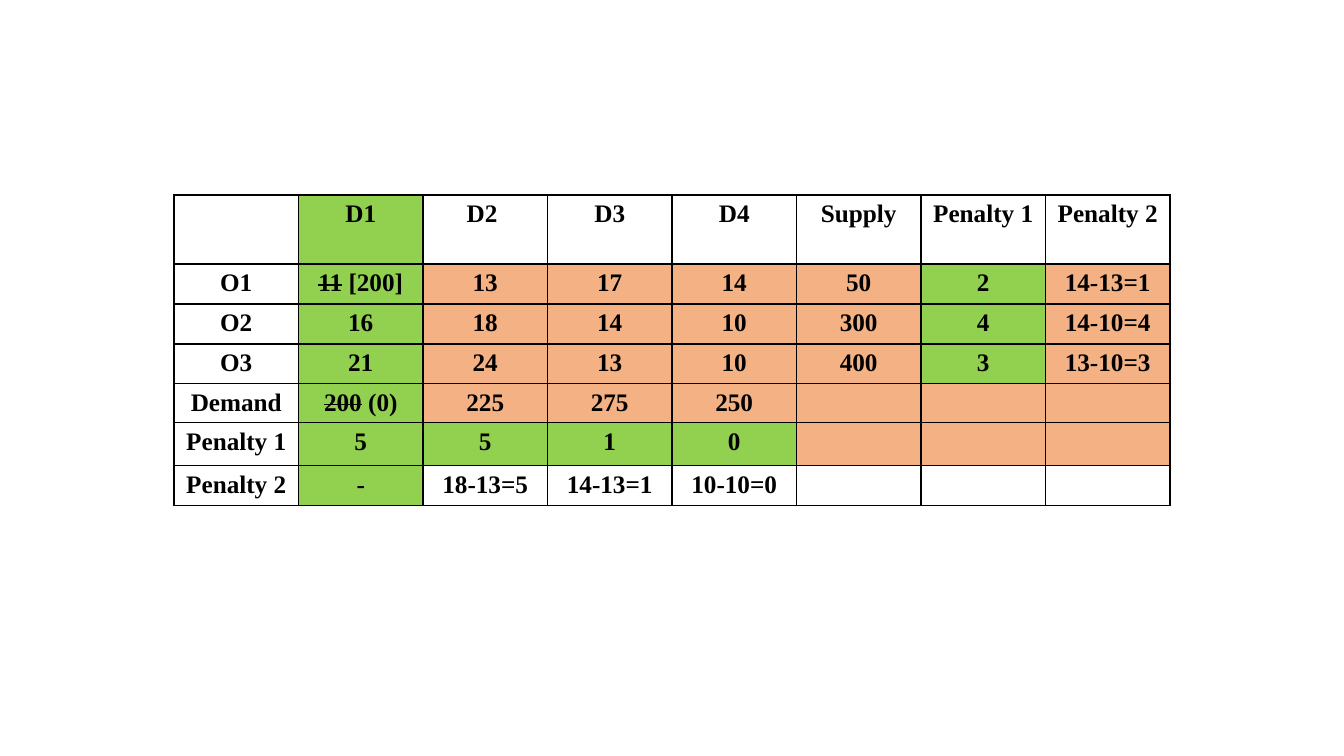
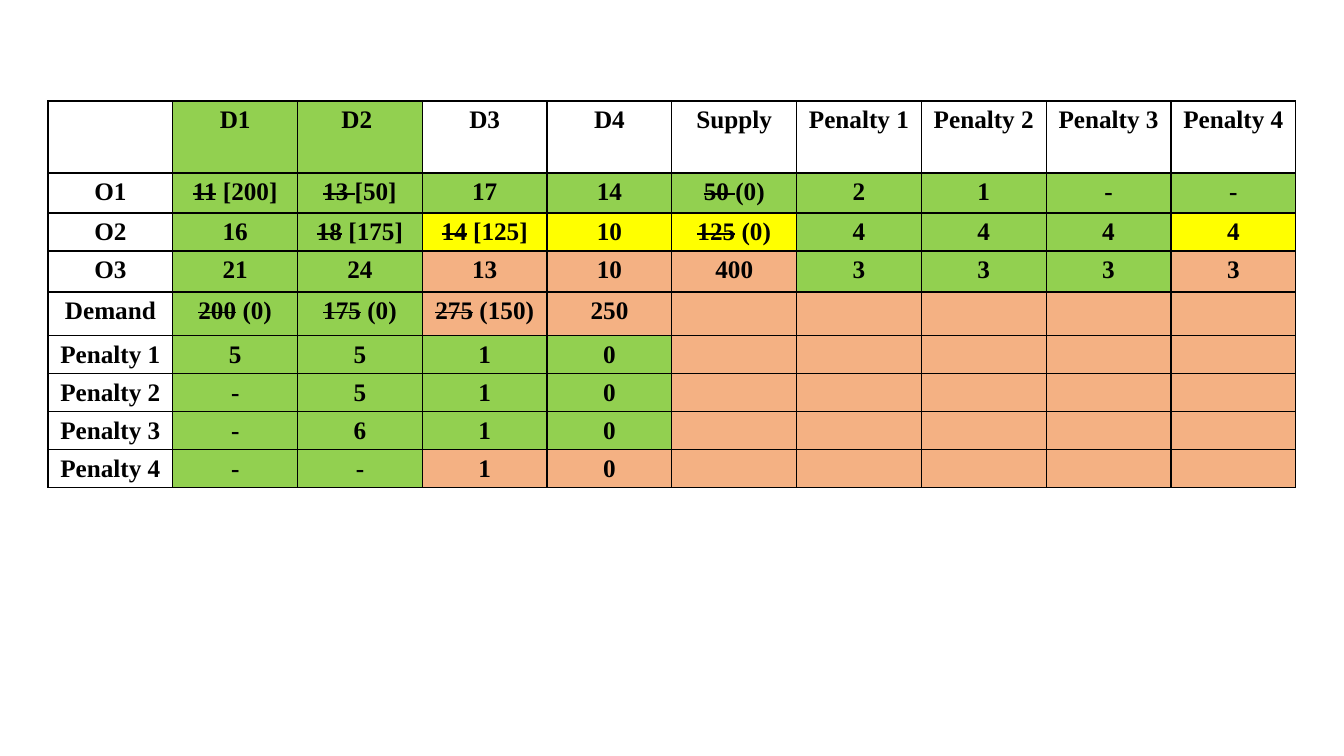
"""Build two slides of transportation-problem penalty tables."""
from dataclasses import dataclass
from itertools import zip_longest

from lxml import etree
from pptx import Presentation
from pptx.dml.color import RGBColor
from pptx.enum.text import MSO_ANCHOR, PP_ALIGN
from pptx.oxml.ns import qn
from pptx.util import Emu, Pt

CENTER = PP_ALIGN.CENTER
TOP = MSO_ANCHOR.TOP
SLIDE_WIDTH, SLIDE_HEIGHT = 1344, 756
EMU_PER_PX = 12192000 / SLIDE_WIDTH
BLANK_LAYOUT = 6
FONT = "Times New Roman"
FONT_SIZE = 18
BLACK = "000000"
FILLS = {"W": "FFFFFF", "G": "92D050", "O": "F4B183", "Y": "FFFF00"}
BORDER_SIDES = ("a:lnL", "a:lnR", "a:lnT", "a:lnB")
BORDER_WIDTH = Pt(1)
STRIKE_MARK = "~"


@dataclass(frozen=True)
class Row:
    """A table row: height in px, one fill key per cell, and its texts split by bars."""

    height: int
    fills: str
    texts: str


@dataclass(frozen=True)
class PenaltyTable:
    """A table of equal columns with its place in px."""

    left: int
    top: int
    width: int
    rows: tuple[Row, ...]


TABLES = (
    PenaltyTable(174, 195, 996, (
        Row(69, "WGWWWWWW", "|D1|D2 |D3|D4|Supply|Penalty 1|Penalty 2"),
        Row(40, "WGOOOOGO", "O1|~11~ [200]|13|17|14|50|2|14-13=1"),
        Row(40, "WGOOOOGO", "O2|16|18|14|10|300|4|14-10=4"),
        Row(40, "WGOOOOGO", "O3|21|24|13|10|400|3|13-10=3"),
        Row(39, "WGOOOOOO", "Demand|~200~ (0)|225|275|250"),
        Row(43, "WGGGGOOO", "Penalty 1|5|5|1|0"),
        Row(40, "WGWWWWWW", "Penalty 2|-|18-13=5|14-13=1|10-10=0"),
    )),
    PenaltyTable(48, 101, 1248, (
        Row(72, "WGGWWWWWWW",
            "|D1|D2 |D3|D4|Supply|Penalty 1|Penalty 2|Penalty 3|Penalty 4"),
        Row(40, "WGGGGGGGGG", "O1|~11~ [200]|~13 ~[50]|17|14|~50 ~(0)|2|1|-|-"),
        Row(38, "WGGYYYGGGY", "O2|16|~18~ [175]|~14~ [125]|10|~125~ (0)|4|4|4|4"),
        Row(41, "WGGOOOGGGO", "O3|21|24|13|10|400|3|3|3|3"),
        Row(44, "WGGOOOOOOO", "Demand|~200~ (0)|~175~ (0)|~275~ (150)|250"),
        Row(38, "WGGGGOOOOO", "Penalty 1|5|5|1|0"),
        Row(38, "WGGGGOOOOO", "Penalty 2|-|5|1|0"),
        Row(38, "WGGGGOOOOO", "Penalty 3|-|6|1|0"),
        Row(38, "WGGOOOOOOO", "Penalty 4|-|-|1|0"),
    )),
)


def px(length: int) -> Emu:
    """Turn px into EMU."""
    return Emu(round(length * EMU_PER_PX))


def color(value: str) -> RGBColor:
    """Turn a hex string into a colour."""
    return RGBColor.from_string(value)


def add_borders(cell) -> None:
    """Draw a black line on each side of a cell."""
    properties = cell._tc.get_or_add_tcPr()
    for side in BORDER_SIDES:
        line = etree.SubElement(properties, qn(side), w=str(BORDER_WIDTH))
        fill = etree.SubElement(line, qn("a:solidFill"))
        etree.SubElement(fill, qn("a:srgbClr"), val=BLACK)


def write_text(cell, text: str) -> None:
    """Write centred bold text, striking out what stands between marks."""
    paragraph = cell.text_frame.paragraphs[0]
    paragraph.alignment = CENTER
    for index, part in enumerate(text.split(STRIKE_MARK)):
        if not part:
            continue
        run = paragraph.add_run()
        run.text = part
        run.font.name = FONT
        run.font.size = Pt(FONT_SIZE)
        run.font.bold = True
        run.font.color.rgb = color(BLACK)
        if index % 2:
            run._r.get_or_add_rPr().set("strike", "sngStrike")
    if not text:
        ending = etree.SubElement(paragraph._p, qn("a:endParaRPr"), sz=str(FONT_SIZE * 100))
        etree.SubElement(ending, qn("a:latin"), typeface=FONT)


def format_cell(cell, text: str, fill: str) -> None:
    """Give a cell its margins, borders, fill and text."""
    cell.margin_left = cell.margin_right = px(7)
    cell.margin_top, cell.margin_bottom = px(5), px(4)
    cell.vertical_anchor = TOP
    add_borders(cell)
    cell.fill.solid()
    cell.fill.fore_color.rgb = color(fill)
    write_text(cell, text)


def add_penalty_table(slide, content: PenaltyTable) -> None:
    """Add one penalty table to a slide."""
    column_count = len(content.rows[0].fills)
    height = sum(row.height for row in content.rows)
    table = slide.shapes.add_table(
        len(content.rows), column_count,
        px(content.left), px(content.top), px(content.width), px(height),
    ).table
    table.first_row = table.horz_banding = False
    for table_row, row in zip(table.rows, content.rows):
        table_row.height = px(row.height)
        pairs = zip_longest(row.texts.split("|"), row.fills, fillvalue="")
        for cell, (text, key) in zip(table_row.cells, pairs):
            format_cell(cell, text, FILLS[key])


def main() -> None:
    """Build and save the presentation."""
    presentation = Presentation()
    presentation.slide_width = px(SLIDE_WIDTH)
    presentation.slide_height = px(SLIDE_HEIGHT)
    for content in TABLES:
        slide = presentation.slides.add_slide(presentation.slide_layouts[BLANK_LAYOUT])
        add_penalty_table(slide, content)
    presentation.save("out.pptx")


if __name__ == "__main__":
    main()
